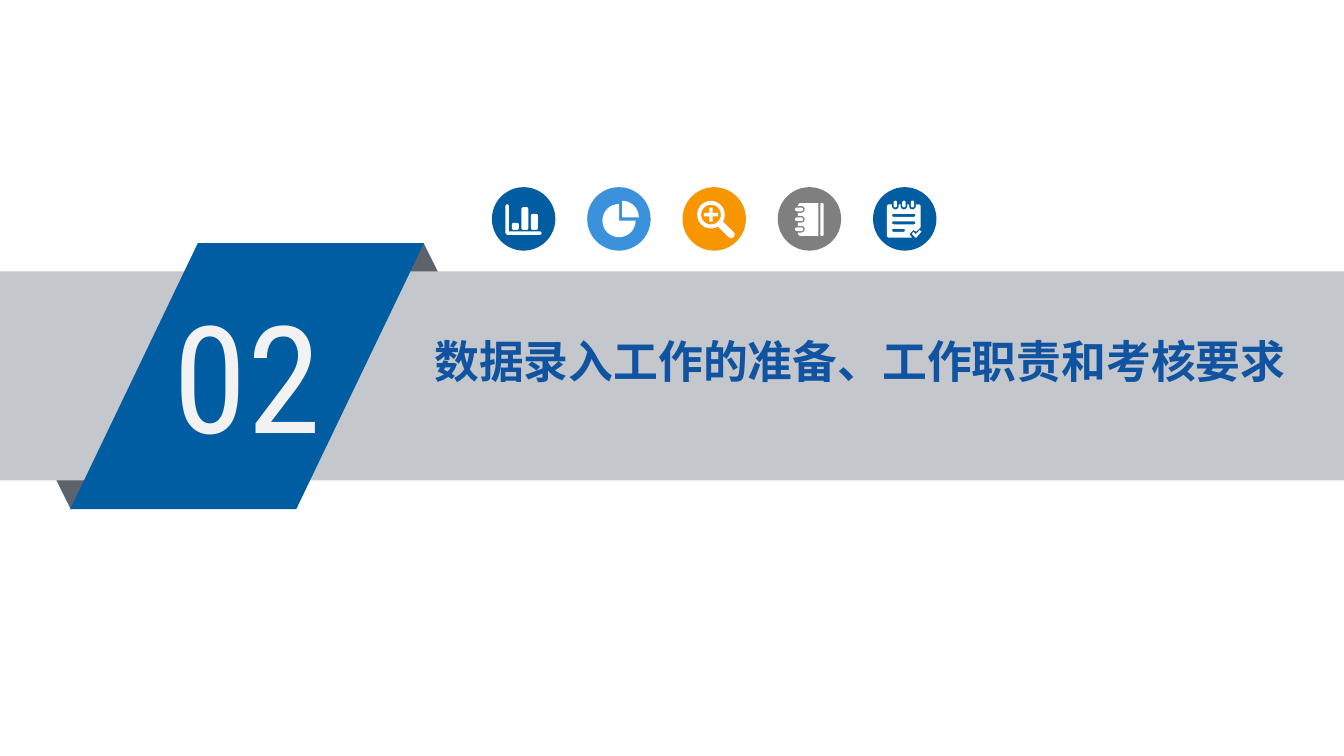
"""Build a section divider slide with a folded banner and a row of icons."""
from math import cos, radians, sin
from pptx import Presentation
from pptx.dml.color import RGBColor as RGB
from pptx.enum.shapes import MSO_SHAPE as Kind
from pptx.enum.text import MSO_ANCHOR as Anchor, MSO_AUTO_SIZE as Fit, PP_ALIGN as Align
from pptx.util import Pt

HUES = {"blue": "005DA2", "sky": "3992DB", "orange": "F79600", "gray": "7F7F7F",
        "band": "C4C7CB", "fold": "5D636A", "title": "1053A1", "pale": "F2F2F2",
        "white": "FFFFFF"}


def arc(x, y, r, start, end, steps=12):
    turns = [radians(start + (end - start) * i / steps) for i in range(steps + 1)]
    return [(x + r * cos(t), y + r * sin(t)) for t in turns]


def pill(x, y, wide, high, r):
    ends = [(x + wide - r, y + high - r), (x + r, y + high - r),
            (x + r, y + r), (x + wide - r, y + r)]
    return [dot for i, (cx, cy) in enumerate(ends)
            for dot in arc(cx, cy, r, 90 * i, 90 * i + 90, 2)]


deck = Presentation()
deck.slide_width, deck.slide_height = Pt(720), Pt(405)
slide = deck.slides.add_slide(deck.slide_layouts[5])
shapes = slide.shapes

for kind, place, hue, turn in [
        (Kind.ISOSCELES_TRIANGLE, (194.5, 130.3, 65, 65.5), "fold", 0),
        (Kind.ISOSCELES_TRIANGLE, (5.5, 207.5, 65, 65.5), "fold", 180),
        (Kind.RECTANGLE, (0, 145.4, 720, 112), "band", 0),
        (Kind.PARALLELOGRAM, (37.6, 130.3, 189.5, 142.5), "blue", 0)]:
    part = shapes.add_shape(kind, *[Pt(v) for v in place])
    part.shadow.inherit = False
    part.fill.solid()
    part.fill.fore_color.rgb = RGB.from_string(HUES[hue])
    part.line.fill.background()
    part.rotation = turn
part.adjustments[0] = 0.48

number = shapes.add_textbox(0, 0, 0, 0)
title = shapes.title
shapes._spTree.append(title._element)
for box, text, place, font, size, hue, bold in [
        (number, "02", (87.7, 149.5, 104.5, 102),
         "Roboto Condensed", 80, "pale", False),
        (title, "数据录入工作的准备、工作职责和考核要求", (227.2, 176, 477.5, 34.5),
         "Calibri", 24, "title", True)]:
    box.left, box.top, box.width, box.height = [Pt(v) for v in place]
    frame = box.text_frame
    frame.text = text
    frame.word_wrap = True
    frame.auto_size = Fit.NONE
    frame.vertical_anchor = Anchor.TOP
    frame.margin_left = frame.margin_right = Pt(5.5)
    frame.margin_top = frame.margin_bottom = Pt(2.8)
    line = frame.paragraphs[0]
    line.alignment = Align.LEFT
    line.font.name, line.font.size, line.font.bold = font, Pt(size), bold
    line.font.color.rgb = RGB.from_string(HUES[hue])

axes = [(7.3, 9.9), (8.2, 9), (9.2, 9.9), (9.2, 23.7), (25.9, 23.7),
        (26.8, 24.6), (25.9, 25.6), (8.2, 25.6), (7.3, 24.6)]
chart = [axes] + [pill(10.8 + 5.1 * i, 22.9 - high, 3.7, high, 0.9)
                  for i, high in enumerate([3.8, 12.2, 8.6])]

pie = [[(18.8, 16.2)] + arc(18.8, 16.2, 8.9, 270, 360),
       [(17.1, 17.9)] + arc(17.1, 17.9, 8.9, 0, 270, 24)]

grip = [(27.4, 24), (28.1, 25.2), (27.5, 26.8), (25.9, 27.4), (24.5, 26.6)]
plus = [(15.3 + x, 14.7 + y) for x, y in [
    (-3.8, -0.9), (-0.9, -0.9), (-0.9, -3.8), (0.9, -3.8), (0.9, -0.9), (3.8, -0.9),
    (3.8, 0.9), (0.9, 0.9), (0.9, 3.8), (-0.9, 3.8), (-0.9, 0.9), (-3.8, 0.9)]]
lens = [arc(15.3, 14.7, 7.4, 60, 390, 24) + grip, arc(15.3, 14.7, 5.3, 0, 360, 24), plus]

cover = [(21.8, 26.1), (21.8, 8.5), (11.8, 8.5), (10.8, 9.5)]
rings = []
for i in range(3):
    y = 10.1 + 5.3 * i
    cover += [(10.8, y)] + arc(12.7, y + 1.8, 1.8, -90, 90, 6) + [(10.8, y + 3.6)]
    rings.append(pill(9.2, y + 0.8, 4.5, 2, 1))
cover += [(10.8, 25.1), (11.8, 26.1)]
book = [cover, pill(22.8, 8.5, 1.8, 17.6, 0.6)] + rings

sheet = [(8.2, 27), (7.4, 26.2), (7.4, 10), (8.2, 9.2)]
clips = []
for i in range(3):
    x = 10.2 + 4.6 * i
    sheet += [(x, 9.2)] + arc(x + 1.8, 10.2, 1.8, 180, 0, 6) + [(x + 3.6, 9.2)]
    clips.append(pill(x + 0.9, 7.2, 1.8, 3.7, 0.9))
sheet += [(24.7, 9.2), (25.5, 10), (25.5, 21.6), (23.2, 23.8), (21.6, 23),
          (19.6, 25.2), (20.9, 27)]
rows = [pill(10.2, 14.3 + 4 * i, wide, 1.6, 0.8)
        for i, wide in enumerate([12.6, 12.6, 7])]
tick = [(26, 23.8), (23.1, 27.2), (20.9, 25.2), (21.6, 23.9), (23, 25.2), (25, 23)]
tasks = [sheet, tick] + clips + rows

top, step, size = 100.3, 51.05, 34
icons = [("blue", chart), ("sky", pie), ("orange", lens), ("gray", book), ("blue", tasks)]
for i, (hue, loops) in enumerate(icons):
    left = 263.5 + step * i
    disc = shapes.add_shape(Kind.OVAL, Pt(left), Pt(top), Pt(size), Pt(size))
    loops = [[(Pt(left + x), Pt(top + y)) for x, y in loop] for loop in loops]
    pen = shapes.build_freeform(*loops[0][0])
    pen.add_line_segments(loops[0][1:])
    for loop in loops[1:]:
        pen.move_to(*loop[0])
        pen.add_line_segments(loop[1:])
    for part, shade in [(disc, hue), (pen.convert_to_shape(), "white")]:
        part.shadow.inherit = False
        part.fill.solid()
        part.fill.fore_color.rgb = RGB.from_string(HUES[shade])
        part.line.fill.background()

deck.save("out.pptx")
